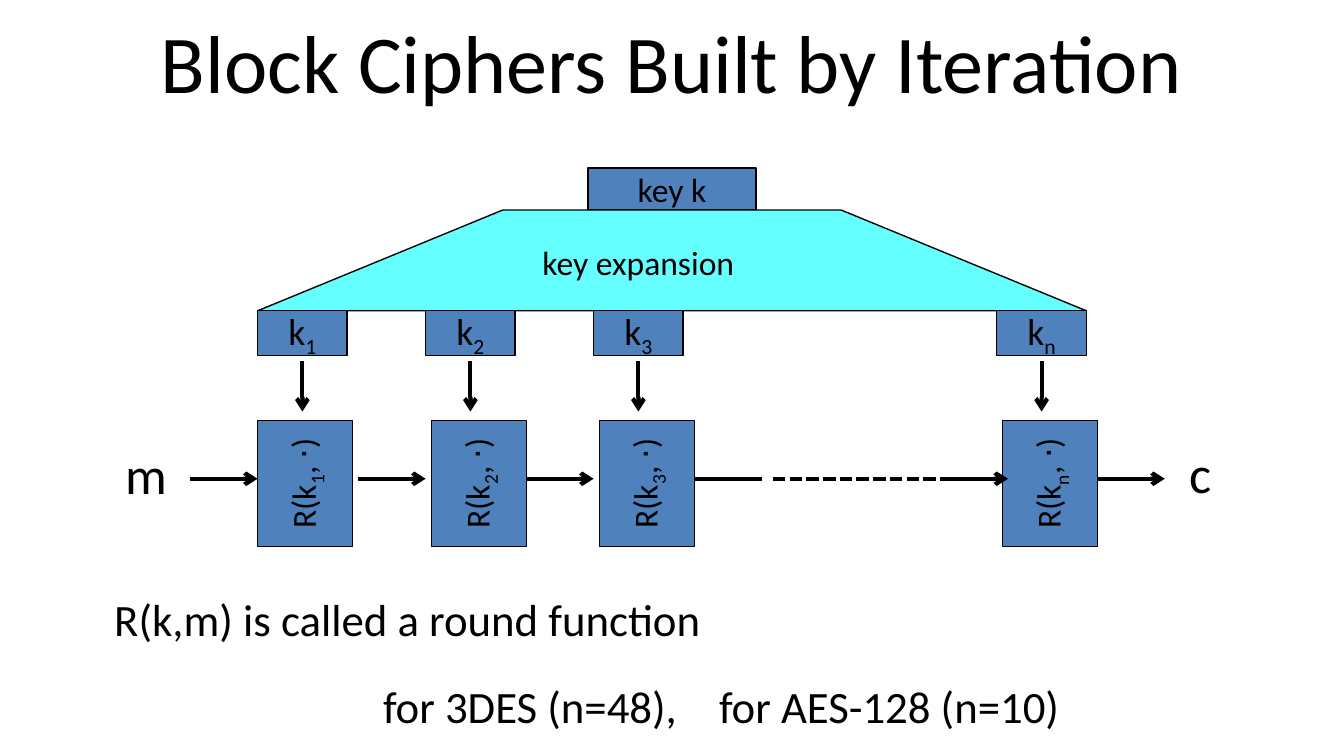
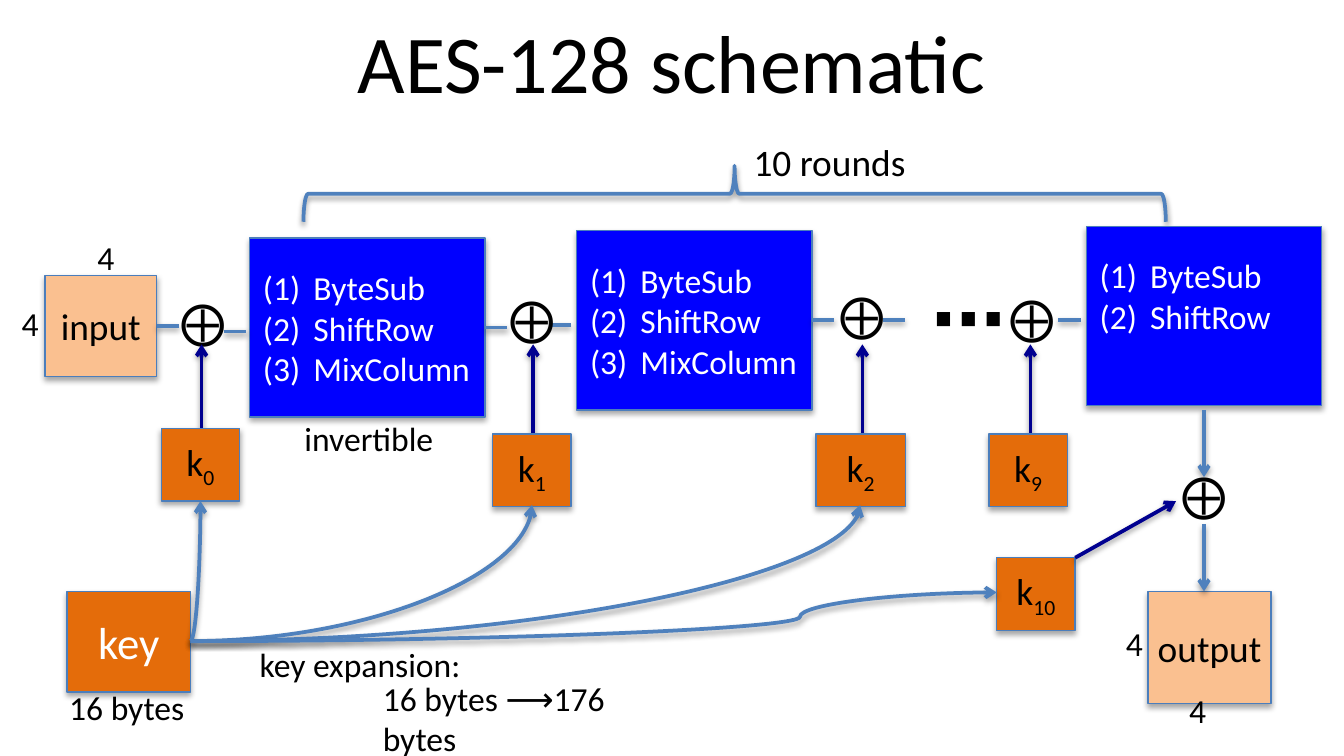
from dataclasses import dataclass

from lxml.etree import SubElement
from pptx import Presentation
from pptx.dml.color import RGBColor
from pptx.enum.dml import MSO_LINE
from pptx.enum.shapes import MSO_CONNECTOR, MSO_SHAPE
from pptx.enum.text import MSO_ANCHOR, MSO_AUTO_SIZE, PP_ALIGN
from pptx.oxml.ns import qn
from pptx.util import Emu, Inches, Pt

COLUMNS, ROWS = 120, 67.5
CELL = Inches(10) / COLUMNS
FONT = "Calibri"
BLACK, WHITE, STEEL, AQUA = "000000", "FFFFFF", "4F81BD", "66FFFF"
PEACH, ORANGE, BLUE, NAVY, EDGE = "FAC090", "E46C0A", "0000FF", "000090", "4B7EBC"
STEPS = ["ByteSub", "ShiftRow", "MixColumn"]
LABEL_ROWS = 4.85


@dataclass
class Box:
    """Hold an area of the slide in grid columns and rows."""
    x: float
    y: float
    w: float = 0
    h: float = 0

    def at(self, dx, dy, w=0, h=0):
        """Give an area whose corner is offset from this one."""
        return Box(self.x + dx, self.y + dy, w, h)

    def emu(self):
        """Give left, top, width and height in slide units."""
        return [cells(v) for v in (self.x, self.y, self.w, self.h)]


def cells(count):
    """Turn a number of grid cells into a length."""
    return Emu(round(count * CELL))


def rgb(code):
    """Turn a hex string into a colour."""
    return RGBColor.from_string(code)


def write(shape, text, size=18, color=BLACK, bold=False, align=PP_ALIGN.LEFT, anchor=None,
          insets=None, wrap=True, grow=False, numbered=False):
    """Fill a shape with lines of text, where braces enclose a subscript."""
    frame = shape.text_frame
    frame.word_wrap = wrap
    frame.auto_size = MSO_AUTO_SIZE.SHAPE_TO_FIT_TEXT if grow else MSO_AUTO_SIZE.NONE
    if anchor is not None:
        frame.vertical_anchor = anchor
    if insets:
        (frame.margin_left, frame.margin_top,
         frame.margin_right, frame.margin_bottom) = map(cells, insets)
    for number, line in enumerate(text.split("\n")):
        paragraph = frame.add_paragraph() if number else frame.paragraphs[0]
        paragraph.alignment = align
        if numbered:
            props = indent(paragraph, 4.5, -4.5)
            SubElement(props, qn("a:buFont"), typeface="+mj-lt")
            SubElement(props, qn("a:buAutoNum"), type="arabicParenBoth")
        for part, piece in enumerate(line.replace("}", "{").split("{")):
            if not piece:
                continue
            run = paragraph.add_run()
            run.text = piece
            run.font.name, run.font.size, run.font.bold = FONT, Pt(size), bold
            run.font.color.rgb = rgb(color)
            if part % 2:
                run.font._element.set("baseline", "-25000")
    return shape


def indent(paragraph, margin, first=0):
    """Set the left margin and first-line indent of a paragraph."""
    props = paragraph._p.get_or_add_pPr()
    props.set("marL", str(cells(margin)))
    props.set("indent", str(cells(first)))
    return props


def effect(item, shadow, alpha, distance):
    """Replace the theme's shadow by a soft one below, or by none."""
    props = item.element.spPr
    effects = SubElement(props, qn("a:effectLst"))
    if shadow:
        cast = SubElement(effects, qn("a:outerShdw"), blurRad=str(Pt(3.1)),
                          dist=str(Pt(distance)), dir="5400000", rotWithShape="0")
        tint = SubElement(cast, qn("a:srgbClr"), val=BLACK)
        SubElement(tint, qn("a:alpha"), val=str(alpha * 1000))


def block(slide, box, text="", fill=None, edge=BLACK, width=0.75, kind=MSO_SHAPE.RECTANGLE,
          shadow=False, turn=0, alpha=35, distance=1.8, **style):
    """Draw a preset shape with centred text."""
    shape = slide.shapes.add_shape(kind, *box.emu())
    shape.rotation = turn
    if fill:
        shape.fill.solid()
        shape.fill.fore_color.rgb = rgb(fill)
    else:
        shape.fill.background()
    shape.line.color.rgb = rgb(edge)
    shape.line.width = Pt(width)
    effect(shape, shadow, alpha, distance)
    if text:
        write(shape, text, **{"align": PP_ALIGN.CENTER, "anchor": MSO_ANCHOR.MIDDLE, **style})
    return shape


def label(slide, box, text, turn=0, wrap=False, **style):
    """Place free text that grows with its content."""
    shape = slide.shapes.add_textbox(*box.emu())
    shape.rotation = turn
    return write(shape, text, wrap=wrap, grow=True, **style)


def line(slide, start, end, color=BLACK, width=2.25, arrow=True, dash=None, shadow=False,
         source=None, curve=None, bend=None):
    """Draw a connector between two points, from a block's right side if given."""
    kind = MSO_CONNECTOR.CURVE if curve else MSO_CONNECTOR.STRAIGHT
    link = slide.shapes.add_connector(kind, *start.emu()[:2], *end.emu()[:2])
    if source:
        link.begin_connect(source, 3)
    link.line.color.rgb = rgb(color)
    link.line.width = Pt(width)
    if dash:
        link.line.dash_style = dash
    props = link.element.spPr
    if arrow:
        SubElement(props.find(qn("a:ln")), qn("a:tailEnd"), type="arrow")
    if curve:
        geometry = props.find(qn("a:prstGeom"))
        geometry.set("prst", curve)
        if bend:
            SubElement(geometry.find(qn("a:avLst")), qn("a:gd"), name="adj1", fmla=f"val {bend}")
    effect(link, shadow, 38, 1.6)
    return link


def flow(slide, start, end, color=STEEL, **style):
    """Draw a shadowed line of the schematic."""
    return line(slide, start, end, color, 2, shadow=True, **style)


def tile(slide, box, text, fill=ORANGE, size=20, **style):
    """Draw a shadowed block of the schematic."""
    return block(slide, box, text, fill, EDGE, shadow=True, size=size, **style)


def titled_slide(deck, layout, text):
    """Add a slide and set its title."""
    slide = deck.slides.add_slide(deck.slide_layouts[layout])
    title = slide.shapes.title
    title.left, title.top, title.width, title.height = Box(6, -0.25, 108, 11.25).emu()
    write(title, text, size=44, align=PP_ALIGN.CENTER, anchor=MSO_ANCHOR.MIDDLE)
    return slide


def round_notes(slide, box):
    """Fill the body placeholder with the remarks on the round function."""
    body = slide.placeholders[1]
    body.left, body.top, body.width, body.height = box.emu()
    write(body, "R(k,m) is called a round function\nfor 3DES (n=48),\tfor AES-128 (n=10)", size=24)
    for paragraph, margin, before in zip(body.text_frame.paragraphs, (0, 24), (0, 18.2)):
        paragraph.space_before = Pt(before)
        props = indent(paragraph, margin)
        SubElement(props, qn("a:buNone"))
        stops = SubElement(props, qn("a:tabLst"))
        SubElement(stops, qn("a:tab"), pos=str(cells(56.5)), algn="l")


def key_schedule(slide, box):
    """Draw the key, its expansion and the round keys."""
    block(slide, box.at(29.5, 0, 15, 3.75), "key k", STEEL)
    expansion = block(slide, box.at(0, 3.75, box.w, 9), fill=AQUA, kind=MSO_SHAPE.TRAPEZOID)
    expansion.adjustments[0] = 2.433
    label(slide, box.at(24.25, 6, 20, LABEL_ROWS), "key expansion")
    for index, left in zip("123n", (0, 15, 30, 66)):
        block(slide, box.at(left, 12.75, 8, 4), f"k{{{index}}}", STEEL, size=20)
        line(slide, box.at(left + 4, 17.25), box.at(left + 4, 21.75))


def round_chain(slide, box):
    """Draw the message passing through the rounds to the ciphertext."""
    long, short = 11.25, 8.5
    for index, left in zip("123n", (13, 28.5, 43.5, 79.5)):
        area = box.at(left + (short - long) / 2, 1.4, long, short)
        block(slide, area, f"R(k{{{index}}}, ⋅)", STEEL, turn=270)
    for left in (7, 22, 37, 52, 74, 88):
        line(slide, box.at(left, 5.25), box.at(left + 6, 5.25), arrow=left != 52)
    line(slide, box.at(59, 5.25), box.at(74, 5.25), arrow=False, dash=MSO_LINE.SQUARE_DOT)
    label(slide, box.at(0, 1.4, 6.25, 6.85), "m", size=28)
    label(slide, box.at(box.w - 5, 1.3, 5, 6.85), "c", size=28, wrap=True)


def sized_state(slide, box, text, above, beside, **style):
    """Draw a 4 by 4 byte state with the labels of its sides."""
    state = tile(slide, box, text, PEACH, **style)
    for offset in (above, beside):
        label(slide, box.at(*offset, 4, LABEL_ROWS), "4")
    return state


def xor_sign(slide, box):
    """Place the sign of key addition."""
    label(slide, Box(box.x, box.y, 4.1, 6), "⨁", turn=270, size=24)


def cipher_round(slide, box, steps, bottom=0.6):
    """Draw a round with its numbered steps."""
    return tile(slide, Box(box.x, box.y, 21, 16), "\n".join(steps), BLUE, 18, color=WHITE,
                align=PP_ALIGN.LEFT, numbered=True, insets=(1.2, 0.6, 0, bottom))


def key_addition(slide, box, index, sign, arrow):
    """Draw a round key below, with its arrow up to the sign."""
    xor_sign(slide, box.at(*sign))
    flow(slide, Box(arrow, 40.3), Box(arrow, 30.75), NAVY)
    tile(slide, box, f"k{{{index}}}")


def rounds(slide, box):
    """Draw the row of rounds, key additions and links between them."""
    brace = block(slide, box.at(59.1, -45.8, 5, 77), edge=STEEL, width=2, shadow=True,
                  kind=MSO_SHAPE.RIGHT_BRACE, turn=270, alpha=38, distance=1.6)
    brace.adjustments[0] = 0.0833
    label(slide, box.at(62.1, -12.8, 16.2, 5.25), "10 rounds", size=20)
    state = sized_state(slide, box.at(0, 0, 10, 9), "input", (3.5, -4), (-3.25, 1.9))
    first = cipher_round(slide, box.at(18.3, -3.35), STEPS)
    second = cipher_round(slide, box.at(47.5, -4), STEPS)
    for source, left, row in ((state, 10, 4.5), (first, 39.3, 4.65), (second, 68.5, 4)):
        flow(slide, box.at(left, row), box.at(left + 2, row), arrow=False, source=source)
    for left, row in ((16, 5), (45, 4.4), (74.8, 4), (90.5, 4)):
        flow(slide, box.at(left, row), box.at(left + 2, row), arrow=False)
    for index, left, top, width, sign, arrow in (
            (0, 10.4, 13.65, 7, (1.2, -11), 18), (1, 40, 14.15, 7, (1, -11.75), 47.6),
            (2, 68.85, 14.15, 8, (1.55, -12.1), 77), (9, 84.3, 14.15, 7, (1.35, -11.85), 92)):
        key_addition(slide, box.at(left, top, width, 6.5), index, sign, arrow)
    label(slide, box.at(78, -1, 5.75, 9.25), "⋯", size=40, bold=True)
    label(slide, box.at(22, 12.1, 14.15, LABEL_ROWS), "invertible")


def final_round(slide, box):
    """Draw the last round, its key addition and the output."""
    cipher_round(slide, box, STEPS[:2], bottom=4.2)
    sized_state(slide, box.at(5.5, 32.6, 11, 10), "output", (2.5, 8.2), (-3.15, 2.2),
                insets=(0, 0.6, 0, 0.6))
    xor_sign(slide, box.at(8, 22.5))
    for top in (16.4, 26.6):
        flow(slide, box.at(10.5, top), box.at(10.5, top + 6))
    tile(slide, box.at(-8, 29.6, 7, 6.5), "k{10}")
    flow(slide, box.at(-1, 29.6), box.at(8, 24.55), NAVY)


def key_expansion(slide, box):
    """Draw the cipher key and the curves to the round keys."""
    tile(slide, Box(box.x, box.y, 11, 9), "key", size=24, color=WHITE)
    for right, top in ((41.5, -7.7), (70.8, -7.7), (11.9, -8.05)):
        flow(slide, box.at(11, 4.45), box.at(right, top), curve="curvedConnector2")
    flow(slide, box.at(11, 4.45), box.at(83, 0.1), curve="curvedConnector3", bend=75600)
    label(slide, box.at(-1, 7.9, 12.85, LABEL_ROWS), "16 bytes")
    label(slide, box.at(16, 4.1, 20.6, LABEL_ROWS), "key expansion:")
    label(slide, box.at(27, 7.1, 29, LABEL_ROWS), "16 bytes ⟶176 bytes", wrap=True)


def main():
    """Build both slides and save them."""
    deck = Presentation()
    deck.slide_width, deck.slide_height = cells(COLUMNS), cells(ROWS)
    iteration = titled_slide(deck, 1, "Block Ciphers Built by Iteration")
    round_notes(iteration, Box(9, 52.2, 107, 13.4))
    key_schedule(iteration, Box(23, 15, 74, 22))
    round_chain(iteration, Box(10, 37.5, 100, 11.25))
    schematic = titled_slide(deck, 5, "AES-128 schematic")
    rounds(schematic, Box(4, 24.6, 94, 21))
    final_round(schematic, Box(97, 20.2, 21, 45))
    key_expansion(schematic, Box(6, 52.8, 84, 13))
    deck.save("out.pptx")


if __name__ == "__main__":
    main()
